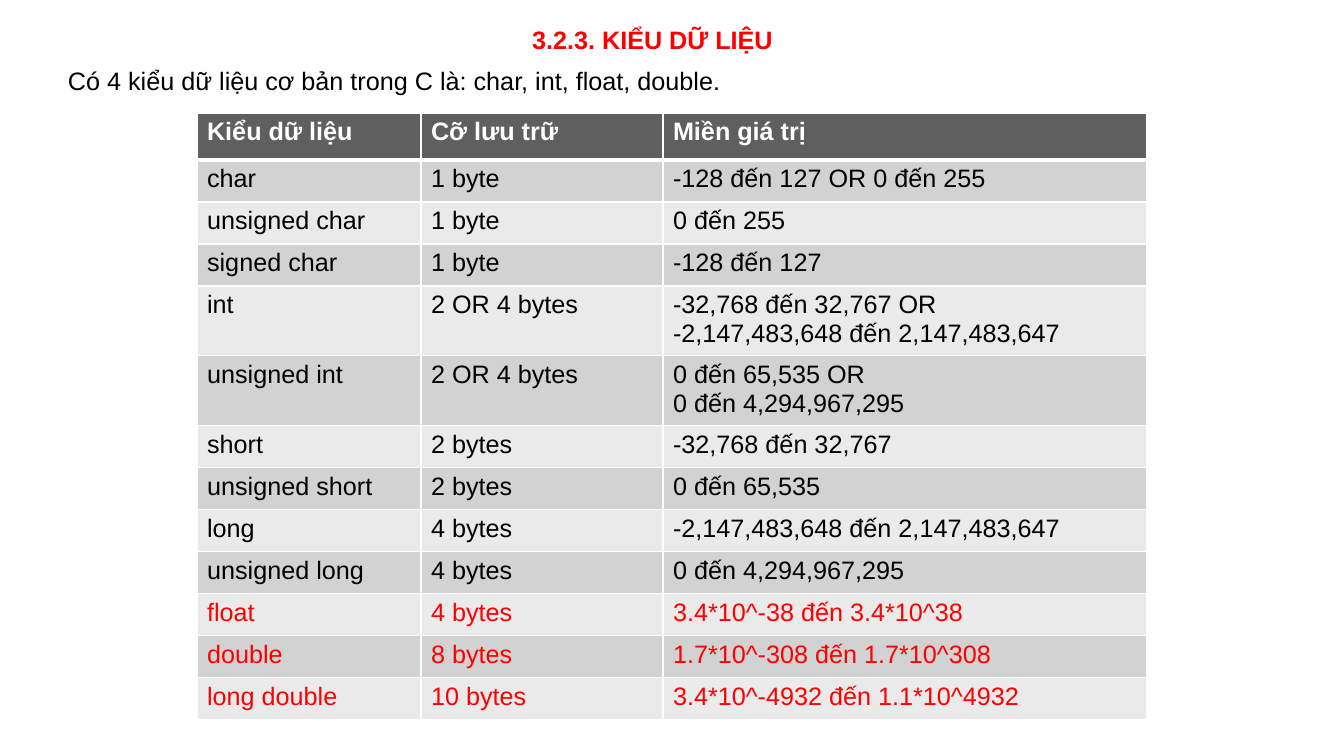
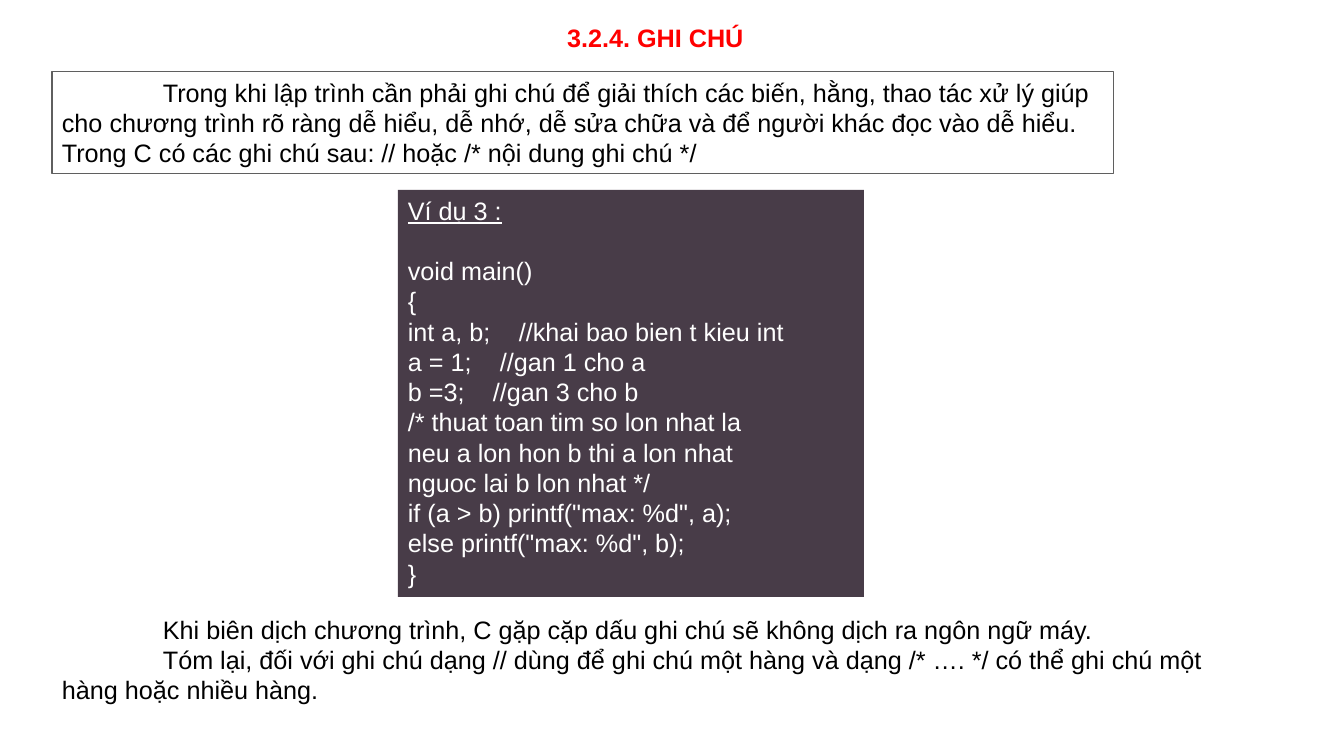
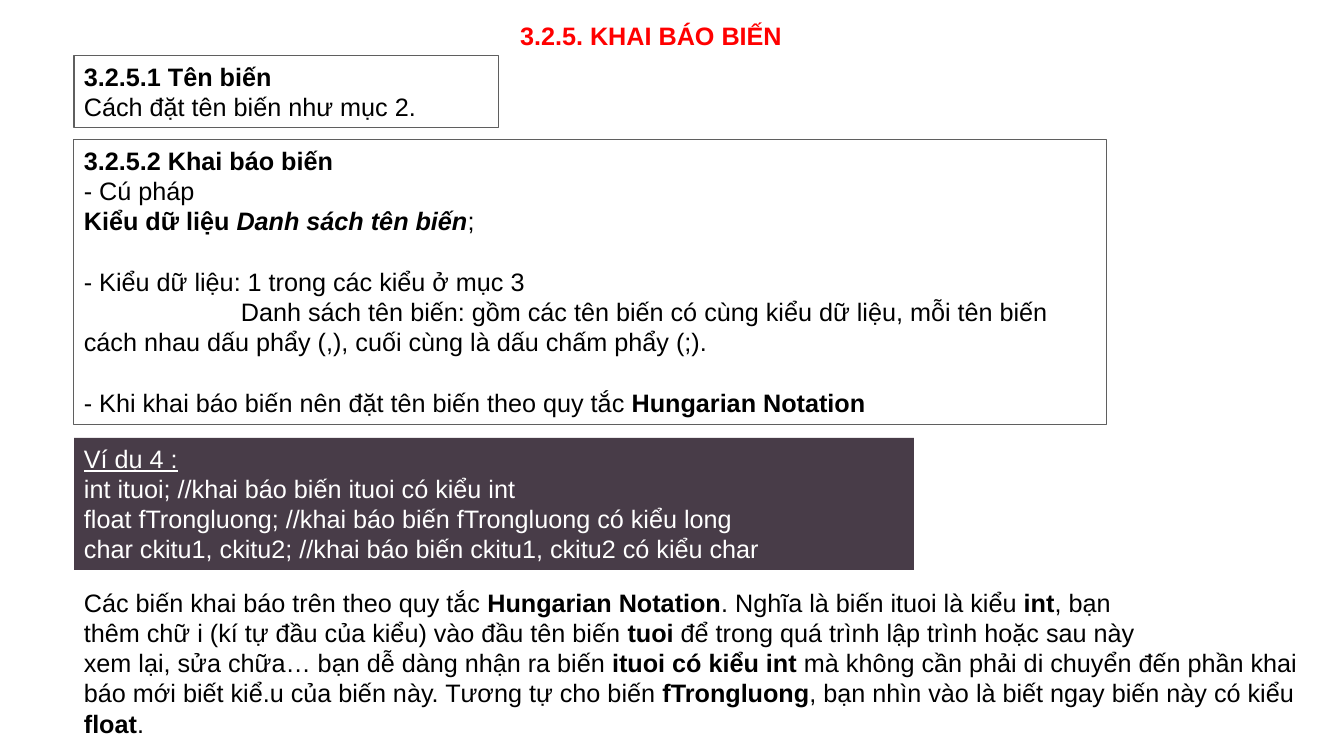
from dataclasses import dataclass

from lxml import etree
from pptx import Presentation
from pptx.dml.color import RGBColor
from pptx.enum.shapes import MSO_SHAPE
from pptx.enum.text import MSO_ANCHOR, MSO_AUTO_SIZE, PP_ALIGN
from pptx.oxml.ns import qn
from pptx.util import Pt

RECT, TOP, LEFT = MSO_SHAPE.RECTANGLE, MSO_ANCHOR.TOP, PP_ALIGN.LEFT
FIXED = MSO_AUTO_SIZE.NONE
SCALE = 914400 / 100.8  # EMU in one px
WIDE, HIGH = 1344, 756


@dataclass(frozen=True)
class Theme:
    font: str = "Arial"
    size: float = 18
    skip: float = 21.6  # one empty line, in points
    text: str = "000000"
    red: str = "FF0000"
    white: str = "FFFFFF"
    gray: str = "5F5F5F"
    code: str = "483C48"
    bands: tuple = ("D2D2D2", "EAEAEA")
    edge: float = 0.75


T = Theme()

# Content: a paragraph is a string or a dict; a run is a string or (text, style)
GAP = {"gap": True}
HEAD = ("Kiểu dữ liệu", "Cỡ lưu trữ", "Miền giá trị")
TYPES = [
    ("char", "1 byte", "-128 đến 127 OR 0 đến 255"),
    ("unsigned char", "1 byte", "0 đến 255"),
    ("signed char", "1 byte", "-128 đến 127"),
    ("int", "2 OR 4 bytes", "-32,768 đến 32,767 OR\n-2,147,483,648 đến 2,147,483,647"),
    ("unsigned int", "2 OR 4 bytes", "0 đến 65,535 OR\n0 đến 4,294,967,295"),
    ("short", "2 bytes", "-32,768 đến 32,767"),
    ("unsigned short", "2 bytes", "0 đến 65,535"),
    ("long", "4 bytes", "-2,147,483,648 đến 2,147,483,647"),
    ("unsigned long", "4 bytes", "0 đến 4,294,967,295"),
    ("float", "4 bytes", "3.4*10^-38 đến 3.4*10^38"),
    ("double", "8 bytes", "1.7*10^-308 đến 1.7*10^308"),
    ("long double", "10 bytes", "3.4*10^-4932 đến 1.1*10^4932"),
]
REAL = ("float", "double", "long double")  # rows in red
GRID = {"at": (197, 113), "cols": (224, 242, 484), "head": 47, "row": 42, "line": 28}

SLIDES = [
    {
        "title": ("3.2.3. KIỂU DỮ LIỆU", (522, 19, 299, 40)),
        "boxes": [
            ("plain", (58, 60, 795, 40),
             ["Có 4 kiểu dữ liệu cơ bản trong C là: char, int, float, double."]),
        ],
        "table": [HEAD] + TYPES,
    },
    {
        "title": ("3.2.4. GHI CHÚ", (557, 17, 230, 40)),
        "boxes": [
            ("frame", (52, 72, 1062, 102), [
                {"runs": ["Trong khi lập trình cần phải ghi chú để giải thích các biến, hằng, "
                          "thao tác xử lý giúp cho chương trình rõ ràng dễ hiểu, dễ nhớ, dễ sửa "
                          "chữa và để người khác đọc vào dễ hiểu. Trong C có các ghi chú sau: "
                          "// hoặc /* nội dung ghi chú */"], "indent": 101},
            ]),
            ("code", (398, 190, 466, 407), [
                {"runs": ["Ví dụ 3 :"], "line": True},
                {"runs": ["void main()"], **GAP},
                "{",
                {"runs": ["int a, b;\t//khai bao bien t kieu int"], "tab": 111},
                {"runs": ["a = 1;\t//gan 1 cho a"], "tab": 92},
                {"runs": ["b =3;\t//gan 3 cho b"], "tab": 85},
                "/* thuat toan tim so lon nhat la",
                "neu a lon hon b thi a lon nhat",
                "nguoc lai b lon nhat */",
                'if (a > b) printf("max: %d", a);',
                'else printf("max: %d", b);',
                "}",
            ]),
            ("plain", (52, 609, 1181, 102), [
                {"runs": ["Khi biên dịch chương trình, C gặp cặp dấu ghi chú sẽ không dịch ra "
                          "ngôn ngữ máy."], "indent": 101},
                {"runs": ["Tóm lại, đối với ghi chú dạng // dùng để ghi chú một hàng và dạng "
                          "/* …. */ có thể ghi chú một hàng hoặc nhiều hàng."], "indent": 101},
            ]),
        ],
    },
    {
        "title": ("3.2.5. KHAI BÁO BIẾN", (510, 15, 325, 40)),
        "boxes": [
            ("frame", (74, 56, 425, 72), [
                {"runs": [("3.2.5.1 Tên biến", "b")]},
                "Cách đặt tên biến như mục 2.",
            ]),
            ("frame", (74, 140, 1033, 285), [
                {"runs": [("3.2.5.2 Khai báo biến", "b")]},
                "- Cú pháp",
                {"runs": [("Kiểu dữ liệu ", "b"), ("Danh sách tên biến", "bi"), ";"]},
                {"runs": ["- Kiểu dữ liệu: 1 trong các kiểu ở mục 3"], **GAP},
                {"runs": ["Danh sách tên biến: gồm các tên biến có cùng kiểu dữ liệu, mỗi tên "
                          "biến cách nhau dấu phẩy (,), cuối cùng là dấu chấm phẩy (;)."],
                 "indent": 157},
                {"runs": ["- Khi khai báo biến nên đặt tên biến theo quy tắc ",
                          ("Hungarian Notation", "b")], **GAP},
            ]),
            ("code", (74, 438, 840, 132), [
                {"runs": ["Ví dụ 4 :"], "line": True},
                "int ituoi; //khai báo biến ituoi có kiểu int",
                "float fTrongluong; //khai báo biến fTrongluong có kiểu long",
                "char ckitu1, ckitu2; //khai báo biến ckitu1, ckitu2 có kiểu char",
            ]),
            ("plain", (74, 582, 1263, 162), [
                {"runs": ["Các biến khai báo trên theo quy tắc ", ("Hungarian Notation", "b"),
                          ". Nghĩa là biến ituoi là kiểu ", ("int", "b"), ", bạn"]},
                {"runs": ["thêm chữ i (kí tự đầu của kiểu) vào đầu tên biến ", ("tuoi", "b"),
                          " để trong quá trình lập trình hoặc sau này"]},
                {"runs": ["xem lại, sửa chữa… bạn dễ dàng nhận ra biến ",
                          ("ituoi có kiểu int", "b"),
                          " mà không cần phải di chuyển đến phần khai báo mới biết kiể.u của "
                          "biến này. Tương tự cho biến ", ("fTrongluong", "b"),
                          ", bạn nhìn vào là biết ngay biến này có kiểu ", ("float", "b"), "."]},
            ]),
        ],
    },
]


def px(n):
    return round(n * SCALE)


def rgb(color):
    return RGBColor.from_string(color)


def style(para, color, bold=None):
    font = para.font
    font.name, font.size, font.bold = T.font, Pt(T.size), bold
    font.color.rgb = rgb(color)
    para.alignment = LEFT


def write(frame, paras, color, bold=None):
    """Fill a text frame with paragraphs in the shared type style."""
    frame.word_wrap, frame.vertical_anchor = True, TOP
    frame.auto_size = FIXED
    for i, item in enumerate(paras):
        spec = {"runs": [item]} if isinstance(item, str) else item
        para = frame.add_paragraph() if i else frame.paragraphs[0]
        style(para, color, bold)
        if "gap" in spec:
            para.space_before = Pt(T.skip)
        if "line" in spec:
            para.font.underline = True
        props = para._p.get_or_add_pPr()
        if "indent" in spec:
            props.set("marL", "0")
            props.set("indent", str(px(spec["indent"])))
        if "tab" in spec:
            tabs = etree.Element(qn("a:tabLst"))
            etree.SubElement(tabs, qn("a:tab"), pos=str(px(spec["tab"])), algn="l")
            props.find(qn("a:defRPr")).addprevious(tabs)
        for part in spec["runs"]:
            text, marks = (part, "") if isinstance(part, str) else part
            run = para.add_run()
            run.text = text
            if "b" in marks:
                run.font.bold = True
            if "i" in marks:
                run.font.italic = True


def add_title(slide, text, at):
    title = slide.shapes.title
    title.left, title.top, title.width, title.height = map(px, at)
    write(title.text_frame, [text], T.red, True)


def add_box(slide, kind, at, paras):
    """Plain text, a thin framed note, or a dark code panel."""
    place = [px(n) for n in at]
    if kind == "plain":
        box = slide.shapes.add_textbox(*place)
    else:
        box = slide.shapes.add_shape(RECT, *place)
        box.shadow.inherit = False
        if kind == "code":
            box.fill.solid()
            box.fill.fore_color.rgb = rgb(T.code)
            box.line.fill.background()
        else:
            box.fill.background()
            box.line.color.rgb = rgb(T.gray)
            box.line.width = Pt(T.edge)
    write(box.text_frame, paras, T.white if kind == "code" else T.text)


def add_rules(cell, top, low):
    """White cell borders; top and low are widths in points."""
    props = cell._tc.get_or_add_tcPr()
    for i, (side, size) in enumerate((("L", 1), ("R", 1), ("T", top), ("B", low))):
        rule = etree.Element(qn("a:ln" + side), w=str(Pt(size)))
        fill = etree.SubElement(rule, qn("a:solidFill"))
        etree.SubElement(fill, qn("a:srgbClr"), val=T.white)
        props.insert(i, rule)


def add_grid(slide, rows):
    extra = [max(t.count("\n") for t in row) * GRID["line"] for row in rows]
    highs = [(GRID["row"] if r else GRID["head"]) + more for r, more in enumerate(extra)]
    size = (*GRID["at"], sum(GRID["cols"]), sum(highs))
    table = slide.shapes.add_table(len(rows), len(HEAD), *map(px, size)).table
    for col, wide in zip(table.columns, GRID["cols"]):
        col.width = px(wide)
    for r, row in enumerate(rows):
        table.rows[r].height = px(highs[r])
        color = T.red if row[0] in REAL else T.text if r else T.white
        for c, text in enumerate(row):
            cell = table.cell(r, c)
            cell.text = text
            cell.fill.solid()
            cell.fill.fore_color.rgb = rgb(T.bands[(r - 1) % 2] if r else T.gray)
            for para in cell.text_frame.paragraphs:
                style(para, color, r == 0)
            add_rules(cell, 3 if r == 1 else 1, 1 if r else 3)


def main():
    deck = Presentation()
    deck.slide_width, deck.slide_height = px(WIDE), px(HIGH)
    layout = deck.slide_layouts.get_by_name("Title Only")
    for page in SLIDES:
        slide = deck.slides.add_slide(layout)
        add_title(slide, *page["title"])
        for box in page["boxes"]:
            add_box(slide, *box)
        if "table" in page:
            add_grid(slide, page["table"])
    deck.save("out.pptx")


if __name__ == "__main__":
    main()
